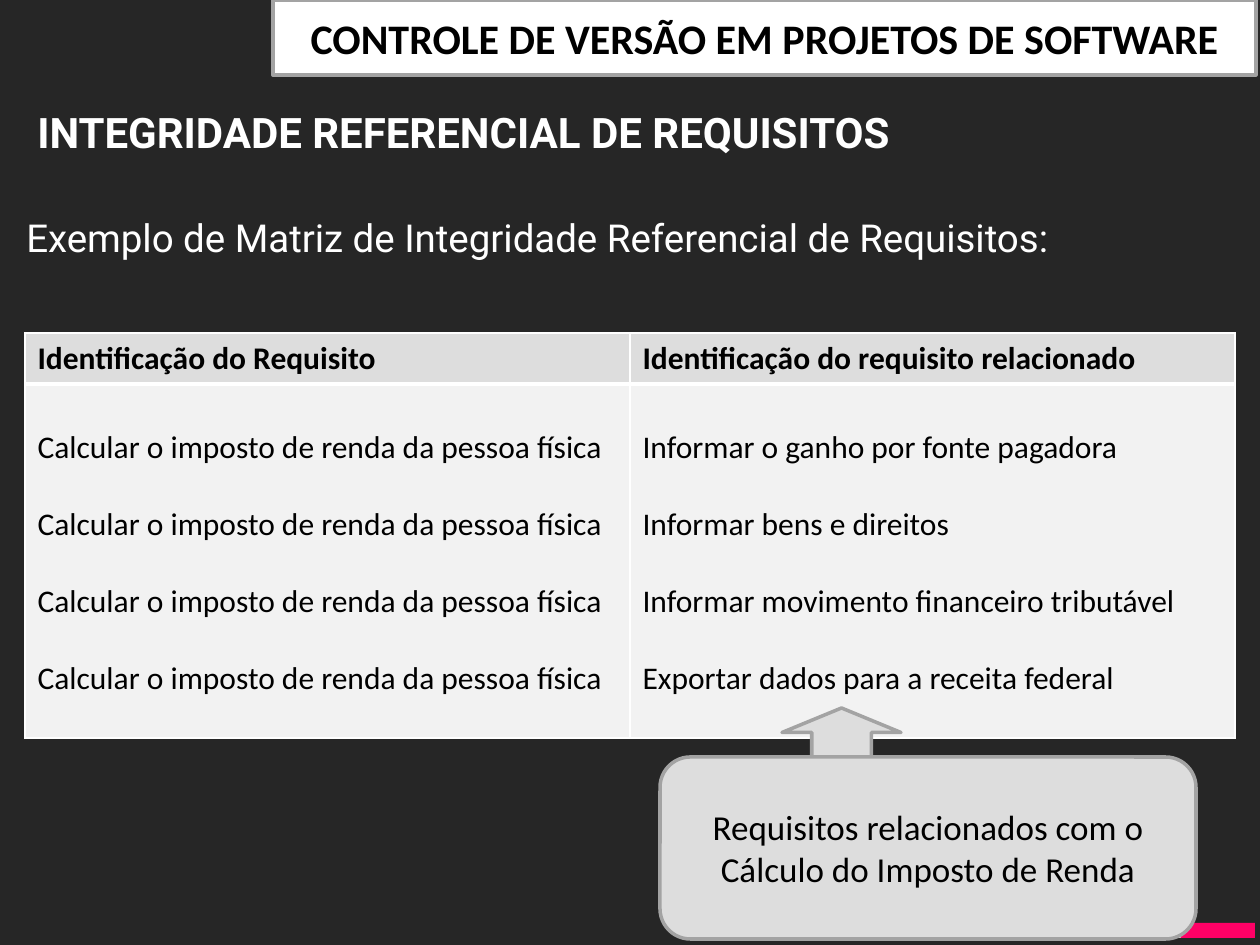
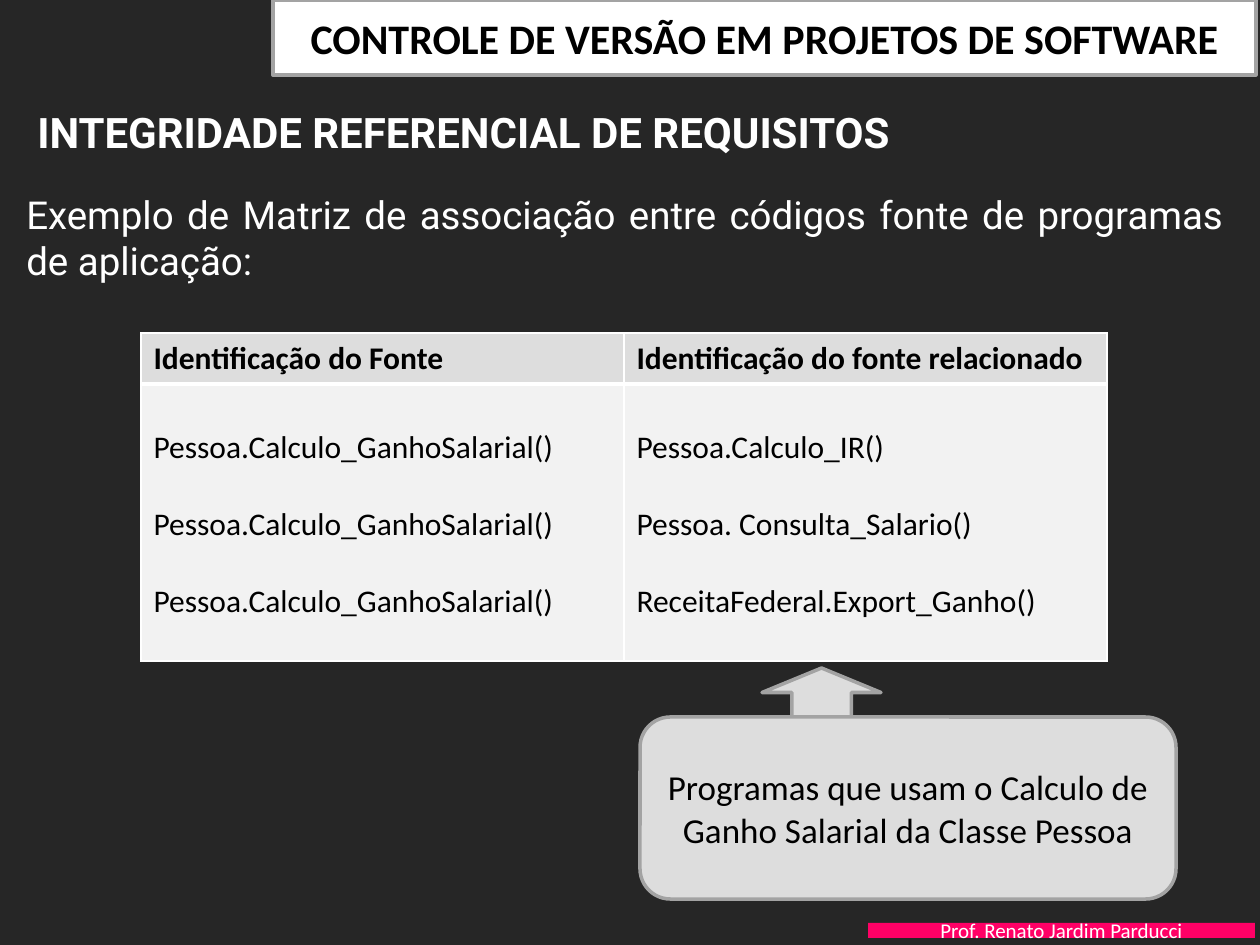
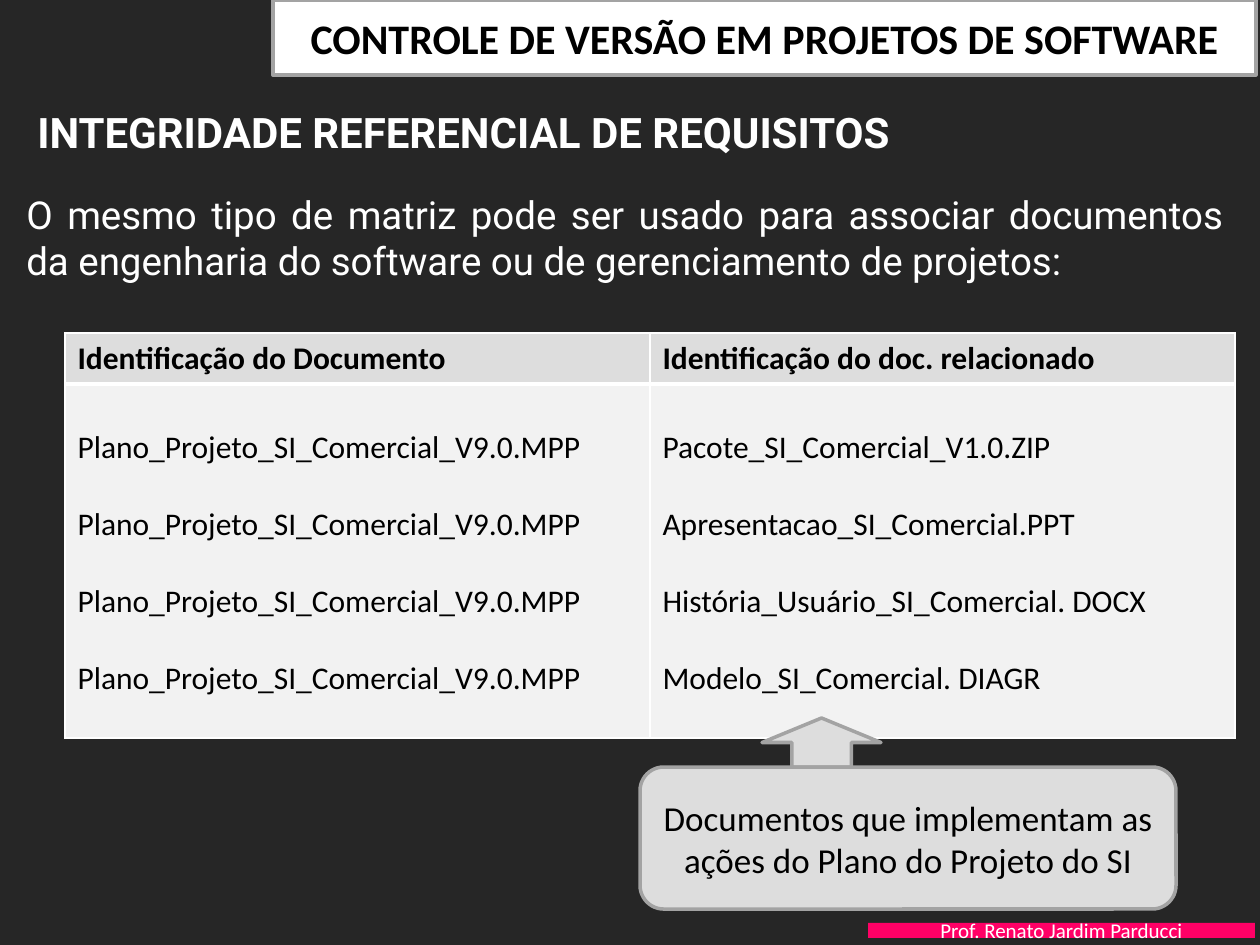
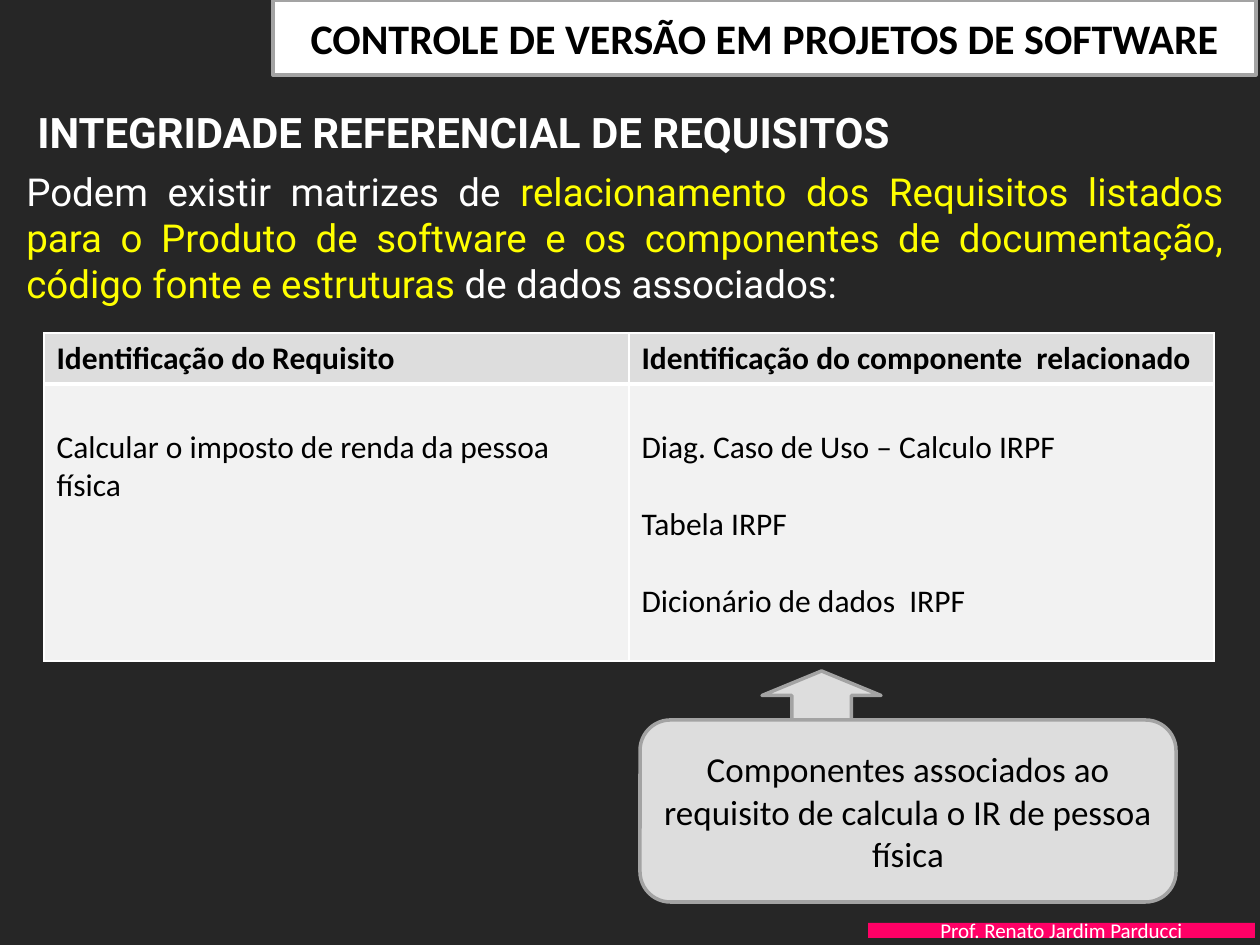
from lxml import etree
from pptx import Presentation, util as u
from pptx.dml.color import RGBColor
from pptx.enum import shapes, text
from pptx.oxml import ns

# Shared palette, fonts and wording
DARK, WHITE, BLACK = "262626", "FFFFFF", "000000"
GREY, PALE, OUTLINE = "DDDDDD", "F2F2F2", "A3A3A3"
PINK, YELLOW = "FF0066", "FFFF00"
BODY_FONT, HEAD_FONT = "Calibri", "Roboto"
COURSE = "CONTROLE DE VERSÃO EM PROJETOS DE SOFTWARE"
TOPIC = "INTEGRIDADE REFERENCIAL DE REQUISITOS"
TEACHER = "Prof. Renato Jardim Parducci"
ROW_GAP = 22  # points: one table line at 18 pt


def px(pixels):
    return u.Emu(round(pixels * 914400 / 126))


def rgb(code):
    return RGBColor.from_string(code)


def style(paragraph, size, color, font=BODY_FONT, bold=False, align=None):
    paragraph.font.size = u.Pt(size)
    paragraph.font.name = font
    paragraph.font.bold = bold
    if color:
        paragraph.font.color.rgb = rgb(color)
    paragraph.alignment = align


def add_box(slide, kind, box, fill, line=None, label="", size=18, color=BLACK, bold=False):
    """A filled preset shape, with centred text if it has a label."""
    shape = slide.shapes.add_shape(kind, *map(px, box))
    shape.shadow.inherit = False
    shape.fill.solid()
    shape.fill.fore_color.rgb = rgb(fill)
    if line:
        shape.line.color.rgb = rgb(line)
        shape.line.width = u.Pt(2)
    else:
        shape.line.fill.background()
    if label:
        frame = shape.text_frame
        frame.word_wrap = True
        frame.vertical_anchor = text.MSO_ANCHOR.MIDDLE
        frame.text = label
        style(frame.paragraphs[0], size, color, bold=bold, align=text.PP_ALIGN.CENTER)
    return shape


def add_text(slide, box, parts, size, anchor, bold=False, align=None):
    """A text box of one paragraph; parts are (wording, colour) pairs."""
    frame = slide.shapes.add_textbox(*map(px, box)).text_frame
    frame.word_wrap = True
    frame.auto_size = text.MSO_AUTO_SIZE.SHAPE_TO_FIT_TEXT
    frame.vertical_anchor = anchor
    frame.margin_bottom = 0
    paragraph = frame.paragraphs[0]
    style(paragraph, size, None, HEAD_FONT, bold, align)
    for wording, color in parts:
        run = paragraph.add_run()
        run.text = wording
        run.font.color.rgb = rgb(color)


def set_borders(cell, **widths):
    """White borders; the sides come in schema order: L, R, T, B."""
    properties = cell._tc.get_or_add_tcPr()
    for index, (side, points) in enumerate(widths.items()):
        edge = etree.Element(ns.qn(f"a:ln{side}"), w=str(u.Pt(points)))
        fill = etree.SubElement(edge, ns.qn("a:solidFill"))
        etree.SubElement(fill, ns.qn("a:srgbClr"), val=WHITE)
        properties.insert(index, edge)


def fill_cell(cell, lines, fill, bold):
    cell.fill.solid()
    cell.fill.fore_color.rgb = rgb(fill)
    cell.text = "\n".join(lines)
    for index, paragraph in enumerate(cell.text_frame.paragraphs):
        style(paragraph, 18, BLACK, bold=bold)
        if index:
            paragraph.space_before = u.Pt(ROW_GAP)


def add_matrix(slide, left, width, headings, columns):
    """A heading row over one tall row that lists the related items."""
    heights = [51, 46 + 77 * max(map(len, columns))]
    table = slide.shapes.add_table(
        2, 2, px(left), px(333), px(width), px(sum(heights))).table
    table.horz_banding = False
    for row, height in zip(table.rows, heights):
        row.height = px(height)
    for index, (heading, items) in enumerate(zip(headings, columns)):
        table.columns[index].width = px(width / 2)
        head, body = table.cell(0, index), table.cell(1, index)
        fill_cell(head, [heading], GREY, True)
        set_borders(head, L=1, R=1, T=1, B=3)
        fill_cell(body, items, PALE, False)
        body.margin_top = u.Pt(ROW_GAP) + px(6)
        set_borders(body, L=1, R=1, T=3, B=1)


def add_callout(slide, left, top, height, label):
    arrow = add_box(slide, shapes.MSO_SHAPE.DOWN_ARROW, (left + 122, top - 49, 119, 49),
                    GREY, OUTLINE)
    arrow.rotation = 180
    add_box(slide, shapes.MSO_SHAPE.ROUNDED_RECTANGLE, (left, top, 536, height),
            GREY, OUTLINE, label, 20)


def add_page(deck, intro, intro_height):
    """Background, title band, footer, topic and introduction."""
    slide = deck.slides.add_slide(deck.slide_layouts[6])
    slide.background.fill.solid()
    slide.background.fill.fore_color.rgb = rgb(DARK)
    add_box(slide, shapes.MSO_SHAPE.RECTANGLE, (273, 0, 983, 75),
            WHITE, OUTLINE, COURSE, 24, bold=True)
    add_box(slide, shapes.MSO_SHAPE.RECTANGLE, (868, 923, 387, 15),
            PINK, None, TEACHER, 12, WHITE)
    add_text(slide, (25, 100, 1211, 57), [(TOPIC, WHITE)], 24,
             text.MSO_ANCHOR.TOP, bold=True)
    add_text(slide, (14, 234 - intro_height / 2, 1222, intro_height), intro, 22,
             text.MSO_ANCHOR.MIDDLE, align=text.PP_ALIGN.JUSTIFY)
    return slide


def main():
    deck = Presentation()
    deck.slide_width, deck.slide_height = px(1260), px(945)
    income_tax = "Calcular o imposto de renda da pessoa física"

    # Requirements to requirements
    slide = add_page(deck, [
        ("Exemplo de Matriz de Integridade Referencial de Requisitos:", WHITE)], 53)
    add_matrix(slide, 25, 1210,
               ["Identificação do Requisito", "Identificação do requisito relacionado"],
               [[income_tax] * 4,
                ["Informar o ganho por fonte pagadora", "Informar bens e direitos",
                 "Informar movimento financeiro tributável",
                 "Exportar dados para a receita federal"]])
    add_callout(slide, 660, 757, 182,
                "Requisitos relacionados com o Cálculo do Imposto de Renda")

    # Source code to source code
    slide = add_page(deck, [
        ("Exemplo de Matriz de associação entre códigos fonte de programas "
         "de aplicação:", WHITE)], 100)
    add_matrix(slide, 141, 966,
               ["Identificação do Fonte", "Identificação do fonte relacionado"],
               [["Pessoa.Calculo_GanhoSalarial()"] * 3,
                ["Pessoa.Calculo_IR()", "Pessoa. Consulta_Salario()",
                 "ReceitaFederal.Export_Ganho()"]])
    add_callout(slide, 640, 717, 182,
                "Programas que usam o Calculo de Ganho Salarial da Classe Pessoa")

    # Documents to documents
    slide = add_page(deck, [
        ("O mesmo tipo de matriz pode ser usado para associar documentos da "
         "engenharia do software ou de gerenciamento de projetos:", WHITE)], 146)
    add_matrix(slide, 65, 1170,
               ["Identificação do Documento", "Identificação do doc. relacionado"],
               [["Plano_Projeto_SI_Comercial_V9.0.MPP"] * 4,
                ["Pacote_SI_Comercial_V1.0.ZIP", "Apresentacao_SI_Comercial.PPT",
                 "História_Usuário_SI_Comercial. DOCX", "Modelo_SI_Comercial. DIAGR"]])
    add_callout(slide, 640, 767, 142,
                "Documentos que implementam as ações do Plano do Projeto do SI")

    # Requirements to components
    slide = add_page(deck, [
        ("Podem existir matrizes de ", WHITE),
        ("relacionamento dos Requisitos listados para o Produto de software e os "
         "componentes de documentação, código fonte e estruturas", YELLOW),
        (" de dados associados:", WHITE)], 146)
    add_matrix(slide, 44, 1170,
               ["Identificação do Requisito", "Identificação do componente  relacionado"],
               [[income_tax],
                ["Diag. Caso de Uso – Calculo IRPF", "Tabela IRPF",
                 "Dicionário de dados  IRPF"]])
    add_callout(slide, 640, 720, 182,
                "Componentes associados ao requisito de calcula o IR de pessoa física")

    deck.save("out.pptx")


main()
